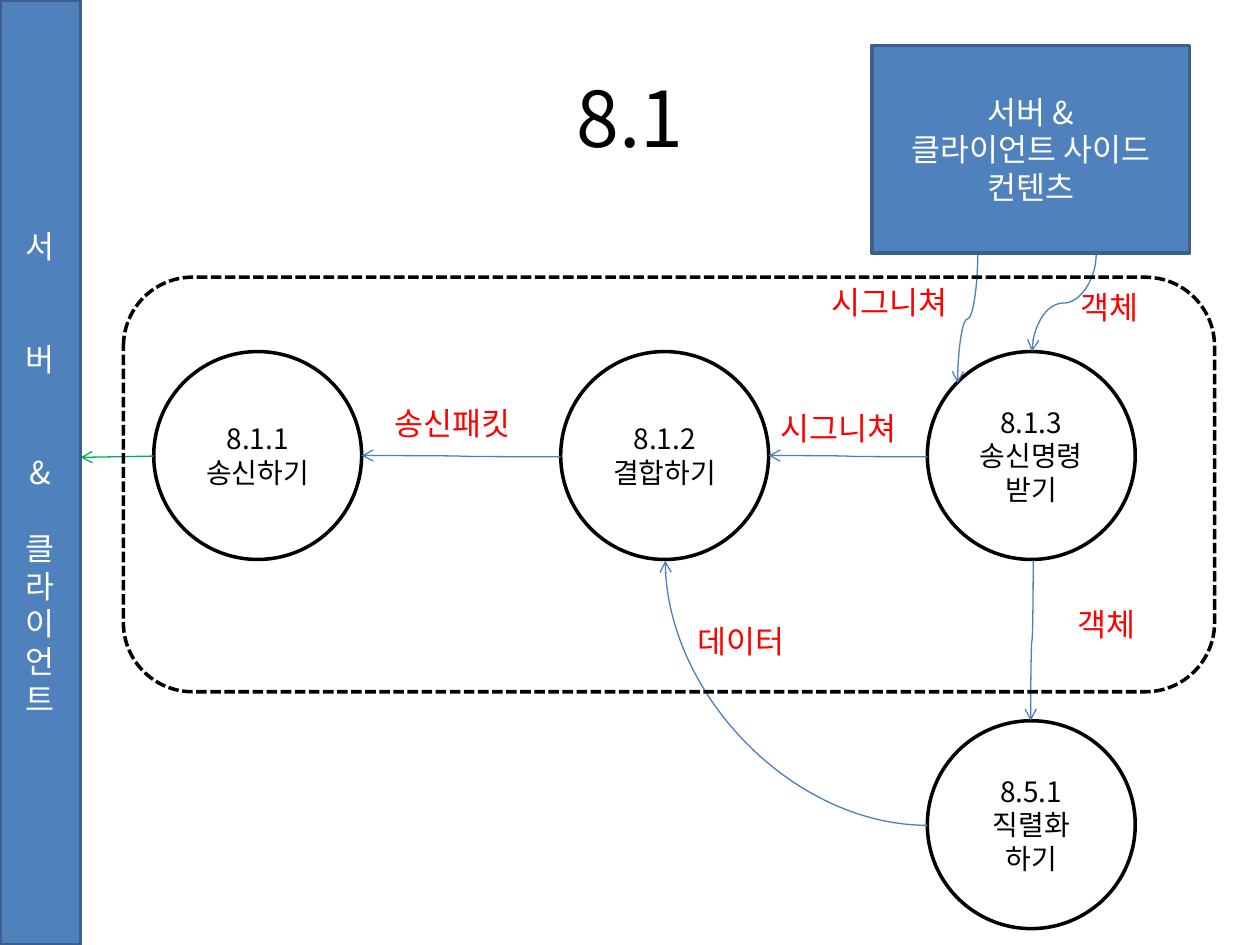
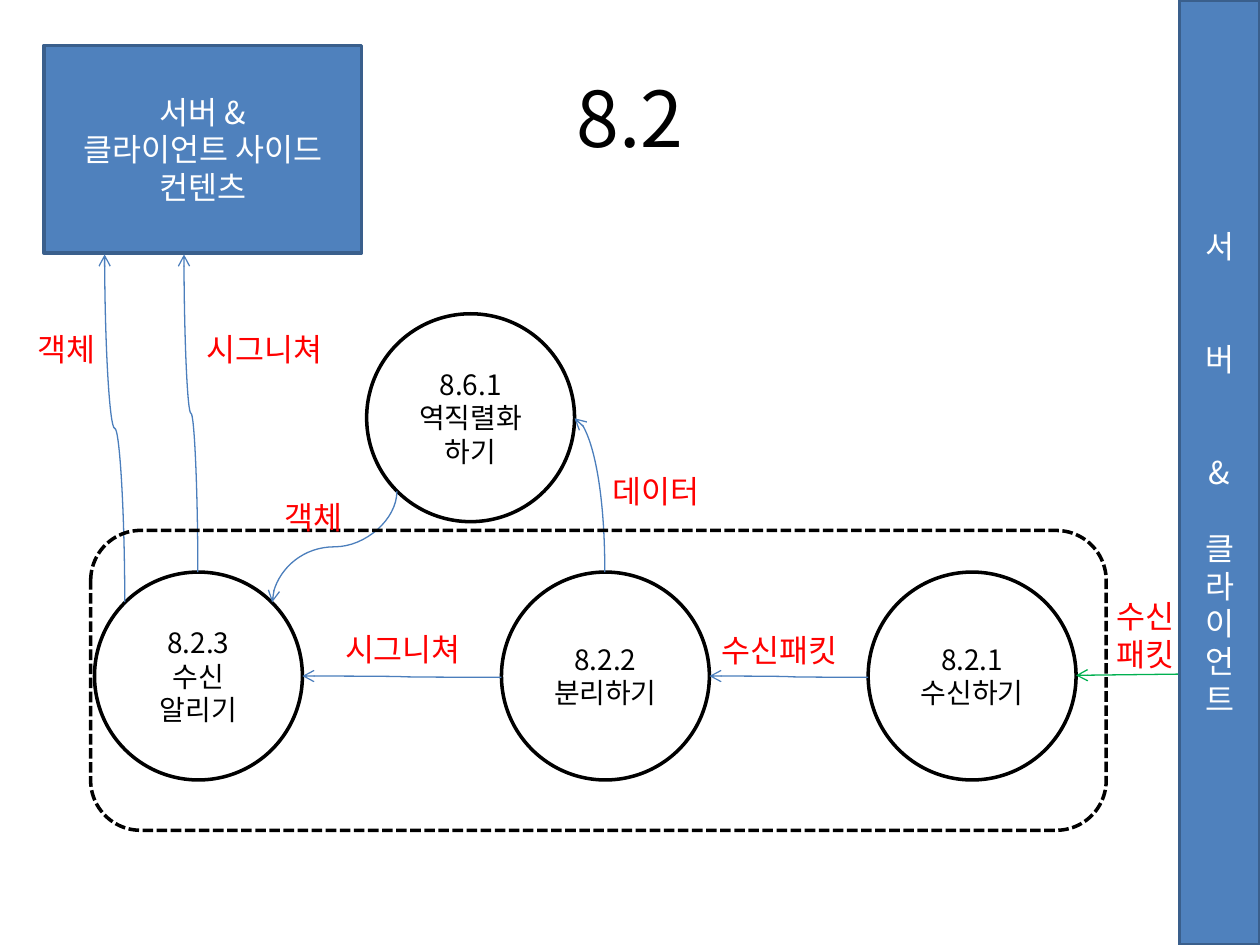
from lxml import etree
from pptx import Presentation
from pptx.dml.color import RGBColor
from pptx.enum import dml, shapes, text
from pptx.oxml.ns import qn
from pptx.util import Inches, Pt

FONT = "Noto Sans CJK KR"
BLACK = RGBColor(0x00, 0x00, 0x00)
WHITE = RGBColor(0xFF, 0xFF, 0xFF)
RED = RGBColor(0xFF, 0x00, 0x00)
GREEN = RGBColor(0x00, 0xB0, 0x50)
BLUE = RGBColor(0x4F, 0x81, 0xBD)
BLUE_EDGE = RGBColor(0x3A, 0x5F, 0x8C)
FLOW_BLUE = RGBColor(0x4B, 0x7E, 0xBC)

CIRCLE = 1.65                       # diameter of a process circle
MIDDLE = CIRCLE / 2
ROW_OFFSETS = (0, 3.23, 6.14)       # circle lefts within a row
BAR_WIDTH = 0.64
BAR_LINE = 21.5                     # height of one 18 pt line, in points
# Characters down the side bar, each with the lines left free above it
BAR_TEXT = (("서", 0), ("버", 2), ("&", 2), ("클", 1),
            ("라", 0), ("이", 0), ("언", 0), ("트", 0))


def write(shape, words, size, color, align, anchor, inset=None):
    """Fill a shape with one paragraph per line of words."""
    frame = shape.text_frame
    frame.word_wrap = True
    frame.vertical_anchor = anchor
    if inset is not None:
        frame.margin_left = frame.margin_right = Inches(inset)
        frame.margin_top = frame.margin_bottom = Inches(inset)
    frame.text = words
    for para in frame.paragraphs:
        para.alignment = align
        para.font.size = Pt(size)
        para.font.color.rgb = color
        para.font.name = FONT
        defaults = para._p.pPr.find(qn("a:defRPr"))
        etree.SubElement(defaults, qn("a:ea")).set("typeface", FONT)


def add_shape(page, kind, left, top, width, height, fill, line):
    shape = page.shapes.add_shape(kind, Inches(left), Inches(top),
                                  Inches(width), Inches(height))
    shape.shadow.inherit = False
    if fill is None:
        shape.fill.background()
    else:
        shape.fill.solid()
        shape.fill.fore_color.rgb = fill
    shape.line.color.rgb = line
    shape.line.width = Pt(2)
    return shape


def add_text(page, words, left, top, width, height, size, color, align, anchor):
    box = page.shapes.add_textbox(Inches(left), Inches(top),
                                  Inches(width), Inches(height))
    write(box, words, size, color, align, anchor)


def add_title(page, words):
    add_text(page, words, 0.5, 0.3, 9, 1.25, 44, BLACK,
             text.PP_ALIGN.CENTER, text.MSO_ANCHOR.MIDDLE)


def add_label(page, words, left, top, width, height=0.4):
    add_text(page, words, left, top, width, height, 18, RED,
             text.PP_ALIGN.LEFT, text.MSO_ANCHOR.TOP)


def add_process(page, words, left, top):
    circle = add_shape(page, shapes.MSO_SHAPE.OVAL, left, top,
                       CIRCLE, CIRCLE, WHITE, BLACK)
    write(circle, words, 16, BLACK, text.PP_ALIGN.CENTER,
          text.MSO_ANCHOR.MIDDLE, 0.04)


def add_arrow(page, kind, start, end, color):
    arrow = page.shapes.add_connector(
        kind, *(Inches(value) for value in (*start, *end)))
    arrow.line.color.rgb = color
    arrow.line.width = Pt(0.75)
    etree.SubElement(arrow.line._get_or_add_ln(), qn("a:tailEnd")).set("type", "arrow")
    etree.SubElement(arrow._element.spPr, qn("a:effectLst"))
    return arrow


def add_curve(page, start, end, vertical=False, quarter=False):
    """Curve that leaves start vertically or horizontally; quarter turns once."""
    dx, dy = end[0] - start[0], end[1] - start[1]
    # Length along and across the leaving direction, before the turn
    if vertical:
        turn, along, across = (90, dy, -dx) if dy > 0 else (270, -dy, dx)
    else:
        turn, along, across = (0, dx, dy) if dx > 0 else (180, -dx, -dy)
    x, y = (start[0] + end[0]) / 2, (start[1] + end[1]) / 2
    half_along, half_across = along / 2, abs(across) / 2
    curve = add_arrow(page, shapes.MSO_CONNECTOR.CURVE,
                      (x - half_along, y - half_across),
                      (x + half_along, y + half_across), FLOW_BLUE)
    properties = curve._element.spPr
    frame = properties.find(qn("a:xfrm"))
    frame.set("rot", str(turn * 60000))
    if across < 0:
        frame.set("flipV", "1")
    if quarter:
        properties.find(qn("a:prstGeom")).set("prst", "curvedConnector2")


def add_process_row(page, left, top, names):
    """Three circles, with a flow from each one to its left neighbour."""
    lefts = [left + offset for offset in ROW_OFFSETS]
    for name, x in zip(names, lefts):
        add_process(page, name, x, top)
    for target, source in zip(lefts, lefts[1:]):
        add_curve(page, (source, top + MIDDLE + 0.01),
                  (target + CIRCLE, top + MIDDLE))


def add_content_box(page, left, top=0.36):
    box = add_shape(page, shapes.MSO_SHAPE.RECTANGLE, left, top,
                    2.52, 1.65, BLUE, BLUE_EDGE)
    write(box, "서버 &\n클라이언트 사이드\n컨텐츠", 18, WHITE,
          text.PP_ALIGN.CENTER, text.MSO_ANCHOR.MIDDLE)


def add_boundary(page, left, top, width, height):
    boundary = add_shape(page, shapes.MSO_SHAPE.ROUNDED_RECTANGLE,
                         left, top, width, height, None, BLACK)
    boundary.line.dash_style = dml.MSO_LINE.SQUARE_DOT


def add_side_bar(page, left):
    bar = add_shape(page, shapes.MSO_SHAPE.RECTANGLE, left, 0,
                    BAR_WIDTH, 7.5, BLUE, BLUE_EDGE)
    write(bar, "\n".join(letter for letter, _ in BAR_TEXT), 18, WHITE,
          text.PP_ALIGN.CENTER, text.MSO_ANCHOR.MIDDLE)
    for para, (_, gap) in zip(bar.text_frame.paragraphs, BAR_TEXT):
        if gap:
            para.space_before = Pt(gap * BAR_LINE)


def build_sending(page):
    add_title(page, "8.1")

    # Processes and content
    add_process_row(page, 1.22, 2.79, (
        "8.1.1\n송신하기", "8.1.2\n결합하기", "8.1.3\n송신명령\n받기"))
    add_process(page, "8.5.1\n직렬화\n하기", 7.36, 5.72)
    add_content_box(page, 6.92)

    # Flows
    add_curve(page, (8.2, 4.45), (8.18, 5.72), vertical=True)
    add_curve(page, (7.36, 6.55), (5.28, 4.45), quarter=True)
    add_curve(page, (7.76, 2.02), (7.6, 3.04), vertical=True)
    add_curve(page, (8.7, 2.02), (8.19, 2.79), vertical=True)
    add_arrow(page, shapes.MSO_CONNECTOR.STRAIGHT,
              (1.22, 3.62), (BAR_WIDTH, 3.63), GREEN)

    # Flow names
    for label in (("시그니쳐", 6.1, 3.2, 1.5), ("데이터", 5.44, 4.89, 1.06),
                  ("시그니쳐", 6.5, 2.2, 1.5), ("객체", 8.48, 2.24, 0.85),
                  ("객체", 8.45, 4.75, 0.85), ("송신패킷", 3.03, 3.16, 1.5)):
        add_label(page, *label)

    add_boundary(page, 0.98, 2.2, 8.66, 3.29)
    add_side_bar(page, 0)


def build_receiving(page):
    add_title(page, "8.2")

    # Processes and content
    add_process_row(page, 0.75, 4.54, (
        "8.2.3\n수신\n알리기", "8.2.2\n분리하기", "8.2.1\n수신하기"))
    add_process(page, "8.6.1\n역직렬화\n하기", 2.91, 2.49)
    add_content_box(page, 0.35)

    # Flows
    add_curve(page, (4.8, 4.54), (4.56, 3.32), vertical=True, quarter=True)
    add_curve(page, (3.15, 3.9), (2.16, 4.78), vertical=True)
    add_curve(page, (0.99, 4.78), (0.83, 2.02), vertical=True)
    add_curve(page, (1.57, 4.54), (1.46, 2.02), vertical=True)
    add_arrow(page, shapes.MSO_CONNECTOR.STRAIGHT,
              (10 - BAR_WIDTH, 5.35), (8.54, 5.36), GREEN)

    add_boundary(page, 0.72, 4.21, 8.06, 2.38)
    add_side_bar(page, 10 - BAR_WIDTH)

    # Flow names
    for label in (("수신패킷", 5.63, 4.96, 1.5), ("데이터", 4.76, 3.7, 1.06),
                  ("시그니쳐", 2.64, 4.95, 1.3), ("객체", 2.16, 3.9, 0.77),
                  ("객체", 0.2, 2.57, 0.77), ("시그니쳐", 1.54, 2.57, 1.3),
                  ("수신\n패킷", 8.76, 4.69, 1.18, 0.71)):
        add_label(page, *label)


deck = Presentation()
deck.slide_width = Inches(10)
deck.slide_height = Inches(7.5)
for build in (build_sending, build_receiving):
    build(deck.slides.add_slide(deck.slide_layouts[6]))
deck.save("out.pptx")
